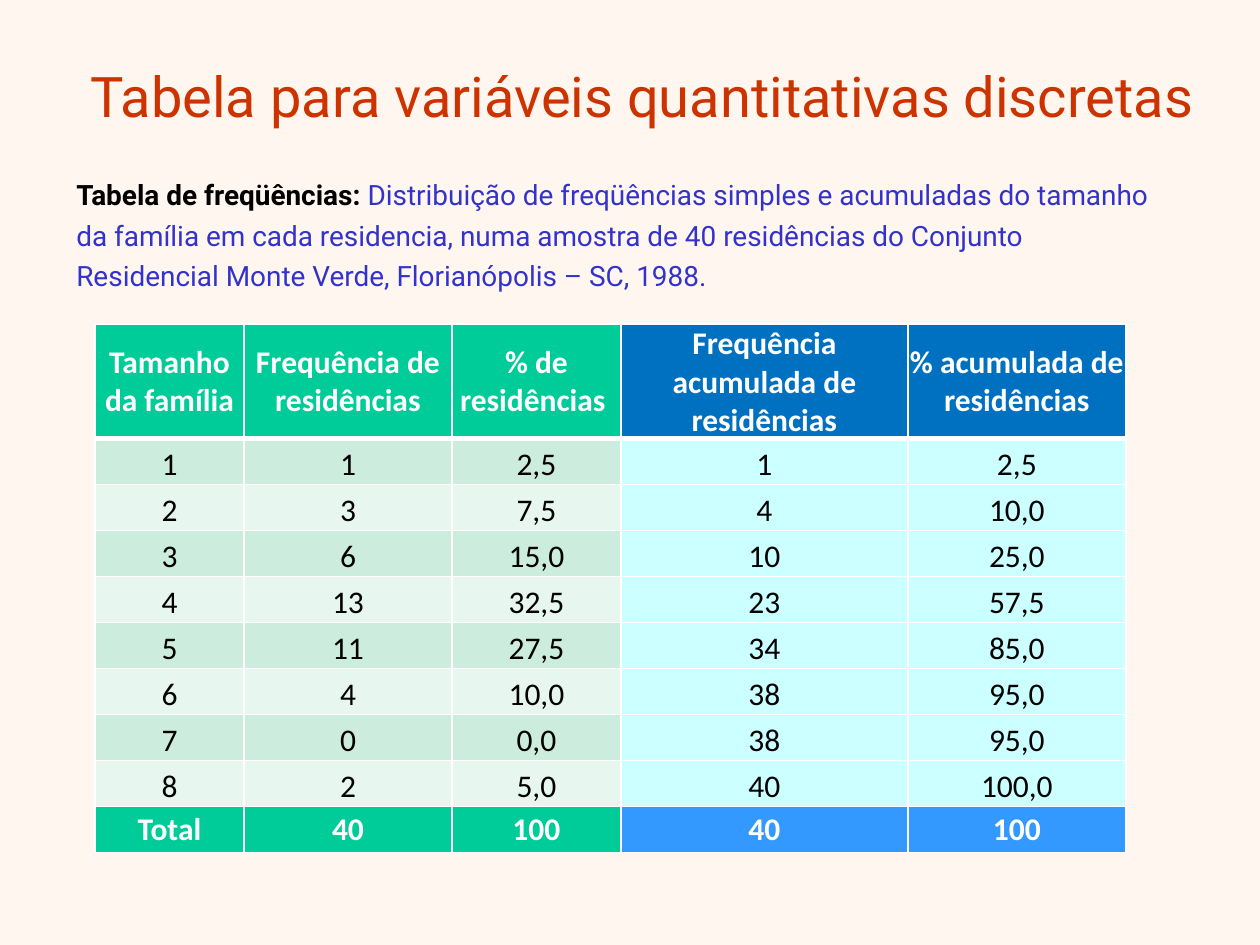
import lxml.etree
import pptx
import pptx.dml.color
import pptx.enum.text
import pptx.oxml.ns
import pptx.util

EMU_PER_PX = 914400 / 126
COLORS = {
    "background": "FFF7EF", "title": "CC3300", "label": "000000",
    "caption": "3333CC", "white": "FFFFFF", "black": "000000",
    "simple": "00CC99", "simple_odd": "CCECDE", "simple_even": "E7F6EF",
    "cumulative_header": "0070C0", "cumulative": "CCFFFF",
    "cumulative_total": "3399FF",
}
HEADERS = ["Tamanho da família", "Frequência de residências",
           "% de residências ", "Frequência acumulada de residências",
           "% acumulada de residências"]
FREQUENCIES = [
    ["1", "1", "2,5", "1", "2,5"],
    ["2", "3", "7,5", "4", "10,0"],
    ["3", "6", "15,0", "10", "25,0"],
    ["4", "13", "32,5", "23", "57,5"],
    ["5", "11", "27,5", "34", "85,0"],
    ["6", "4", "10,0", "38", "95,0"],
    ["7", "0", "0,0", "38", "95,0"],
    ["8", "2", "5,0", "40", "100,0"],
]
TOTALS = ["Total", "40", "100", "40", "100"]
COLUMN_WIDTHS = [149, 208, 169, 287, 218]
HEADER_HEIGHT, ROW_HEIGHT = 103, 46
SIMPLE_COLUMNS = 3


def px(length):
    """Turn a length in px into EMU."""
    return pptx.util.Emu(round(length * EMU_PER_PX))


def rgb(name):
    """Look up a named colour."""
    return pptx.dml.color.RGBColor.from_string(COLORS[name])


def add_text(paragraph, text, *, size, color, font="Roboto", bold=False, align="LEFT"):
    """Add a formatted run to a paragraph."""
    paragraph.alignment = pptx.enum.text.PP_ALIGN[align]
    run = paragraph.add_run()
    run.text = text
    run.font.size = pptx.util.Pt(size)
    run.font.name = font
    run.font.bold = bold
    run.font.color.rgb = rgb(color)


def set_borders(cell, top, bottom):
    """Draw white cell borders, 1 pt at the sides."""
    properties = cell._tc.get_or_add_tcPr()
    widths = {"a:lnL": 1, "a:lnR": 1, "a:lnT": top, "a:lnB": bottom}
    qualified = pptx.oxml.ns.qn
    for position, (tag, width) in enumerate(widths.items()):
        line = lxml.etree.Element(qualified(tag), w=str(pptx.util.Pt(width)))
        fill = lxml.etree.SubElement(line, qualified("a:solidFill"))
        lxml.etree.SubElement(fill, qualified("a:srgbClr"), val=COLORS["white"])
        properties.insert(position, line)


def cell_fill(row, column, last_row):
    """Name the fill colour of a cell from its place."""
    if column < SIMPLE_COLUMNS:
        if row in (0, last_row):
            return "simple"
        return "simple_odd" if row % 2 else "simple_even"
    return {0: "cumulative_header", last_row: "cumulative_total"}.get(row, "cumulative")


def place_title(slide, left, top, width, height):
    """Move and fill the title placeholder."""
    title = slide.shapes.title
    title.left, title.top, title.width, title.height = map(px, (left, top, width, height))
    title.text_frame.vertical_anchor = pptx.enum.text.MSO_ANCHOR.MIDDLE
    add_text(title.text_frame.paragraphs[0],
             "Tabela para variáveis quantitativas discretas",
             size=32, color="title", align="CENTER")


def place_caption(slide, left, top, width, height):
    """Add the caption that introduces the table."""
    shape = slide.shapes.add_textbox(*map(px, (left, top, width, height)))
    shape.text_frame.word_wrap = True
    paragraph = shape.text_frame.paragraphs[0]
    paragraph.line_spacing = 1.2
    paragraph.space_before = pptx.util.Pt(3.2)
    add_text(paragraph, "Tabela de freqüências:", size=16, color="label", bold=True)
    add_text(paragraph, " Distribuição de freqüências simples e acumuladas do tamanho "
             "da família em cada residencia, numa amostra de 40 residências do Conjunto "
             "Residencial Monte Verde, Florianópolis – SC, 1988.",
             size=16, color="caption")


def place_table(slide, left, top):
    """Add the frequency table with its header and total rows."""
    rows = [HEADERS, *FREQUENCIES, TOTALS]
    last_row = len(rows) - 1
    height = HEADER_HEIGHT + ROW_HEIGHT * last_row
    table = slide.shapes.add_table(
        len(rows), len(HEADERS),
        *map(px, (left, top, sum(COLUMN_WIDTHS), height))).table
    for column, width in zip(table.columns, COLUMN_WIDTHS):
        column.width = px(width)
    for row_index, values in enumerate(rows):
        strong = row_index in (0, last_row)
        table.rows[row_index].height = px(ROW_HEIGHT if row_index else HEADER_HEIGHT)
        for column_index, value in enumerate(values):
            cell = table.cell(row_index, column_index)
            cell.margin_left = cell.margin_right = cell.margin_top = px(1)
            cell.margin_bottom = 0
            cell.vertical_anchor = pptx.enum.text.MSO_ANCHOR["MIDDLE" if strong else "BOTTOM"]
            cell.fill.solid()
            cell.fill.fore_color.rgb = rgb(cell_fill(row_index, column_index, last_row))
            set_borders(cell, top=3 if row_index == 1 else 1,
                        bottom=3 if row_index == 0 else 1)
            add_text(cell.text_frame.paragraphs[0], value, size=18, font="Calibri",
                     color="white" if strong else "black", bold=strong, align="CENTER")


def main():
    """Build and save the slide."""
    presentation = pptx.Presentation()
    presentation.slide_width, presentation.slide_height = px(1260), px(945)
    slide = presentation.slides.add_slide(presentation.slide_layouts[5])
    slide.background.fill.solid()
    slide.background.fill.fore_color.rgb = rgb("background")
    place_title(slide, 64, 16, 1157, 158)
    place_caption(slide, 64, 165, 1111, 139)
    place_table(slide, 95, 324)
    presentation.save("out.pptx")


if __name__ == "__main__":
    main()
